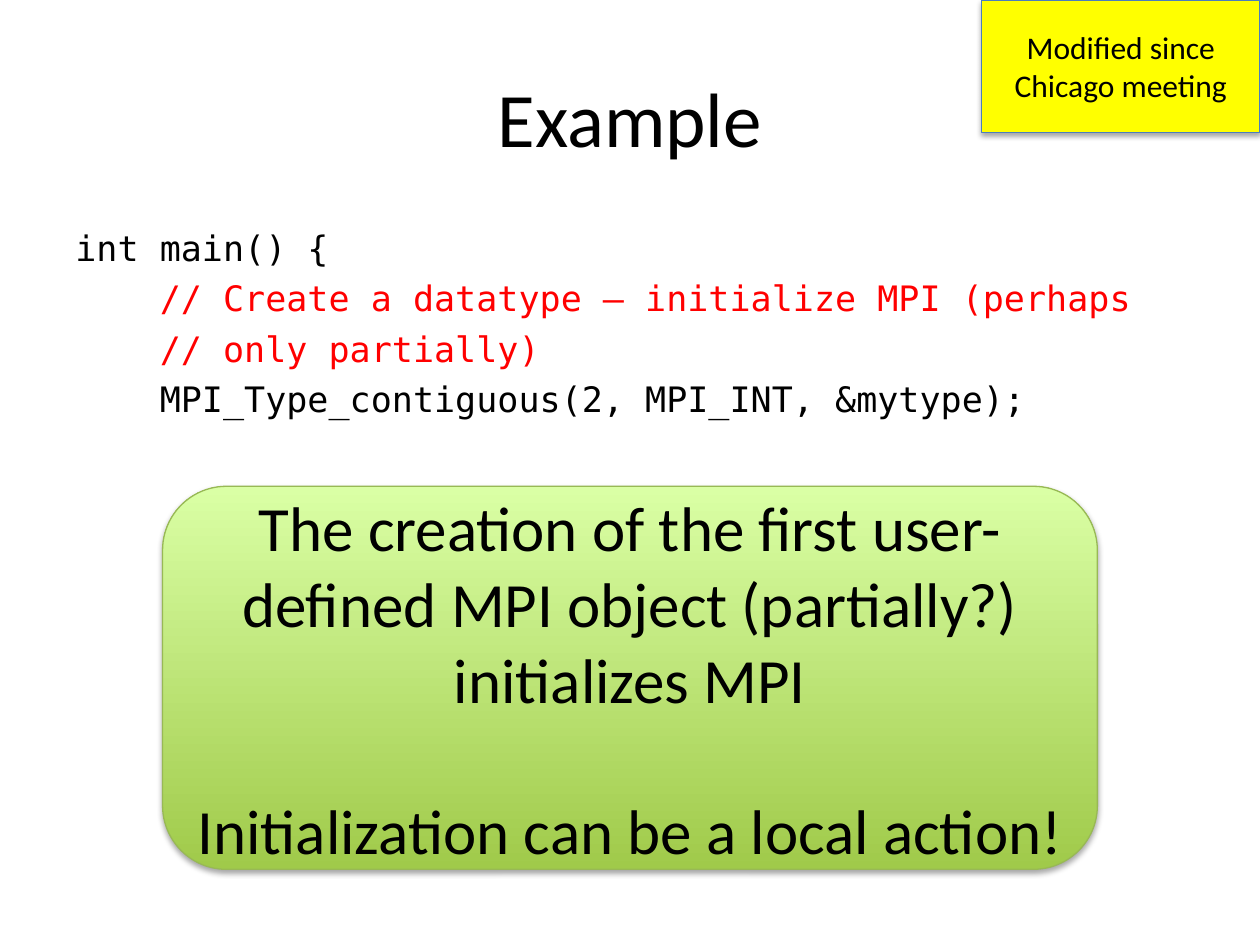
from lxml import etree
from pptx import Presentation
from pptx import util as u
from pptx.dml.color import RGBColor
from pptx.enum import shapes, text
from pptx.oxml.ns import qn

COLORS = {
    "ink": "000000", "comment": "FF0000", "note": "FFFF00", "note_edge": "4B7EBC",
    "green_dark": "A0CA4A", "green_light": "DAFFA5", "green_edge": "98B955",
}


class SlideBuilder:
    """Draws the elements of one slide in a shared style."""

    body_font = "Calibri"
    code_font = "DejaVu Sans Mono"

    def __init__(self, slide):
        self.slide = slide

    def color(self, name):
        return RGBColor.from_string(COLORS[name])

    def set_lines(self, frame, lines, size, font, align, gap=0, inks=()):
        frame.word_wrap = True
        frame.text = "\n".join(lines)
        for index, paragraph in enumerate(frame.paragraphs):
            paragraph.alignment = align
            if index and gap:
                paragraph.space_before = u.Pt(gap)
            for run in paragraph.runs:
                run.font.size = u.Pt(size)
                run.font.name = font
                run.font.color.rgb = self.color(inks[index] if inks else "ink")

    def title(self, box, words):
        frame = self.slide.shapes.add_textbox(*map(u.Pt, box)).text_frame
        frame.vertical_anchor = text.MSO_ANCHOR.MIDDLE
        self.set_lines(frame, [words], 44, self.body_font, text.PP_ALIGN.CENTER)

    def code(self, box, lines):
        frame = self.slide.shapes.add_textbox(*map(u.Pt, box)).text_frame
        inks = ["comment" if line.strip().startswith("//") else "ink" for line in lines]
        self.set_lines(frame, lines, 20, self.code_font, text.PP_ALIGN.LEFT, 4.7, inks)

    def panel(self, kind, box, lines, size, fills, edge, gap=0):
        panel = self.slide.shapes.add_shape(kind, *map(u.Pt, box))
        if len(fills) == 1:
            panel.fill.solid()
            panel.fill.fore_color.rgb = self.color(fills[0])
        else:
            panel.fill.gradient()
            panel.fill.gradient_angle = 90
            for position, (stop, name) in enumerate(zip(panel.fill.gradient_stops, fills)):
                stop.position = position
                stop.color.rgb = self.color(name)
        panel.line.color.rgb = self.color(edge)
        panel.line.width = u.Pt(0.75)
        self.drop_shadow(panel)
        panel.text_frame.vertical_anchor = text.MSO_ANCHOR.MIDDLE
        self.set_lines(panel.text_frame, lines, size, self.body_font, text.PP_ALIGN.CENTER, gap)

    def drop_shadow(self, panel):
        panel.shadow.inherit = False
        effects = panel.element.spPr.find(qn("a:effectLst"))
        shadow = etree.SubElement(
            effects, qn("a:outerShdw"), blurRad=str(u.Pt(3.1)), dist=str(u.Pt(1.8)),
            dir="5400000", rotWithShape="0")
        tone = etree.SubElement(shadow, qn("a:srgbClr"), val=COLORS["ink"])
        etree.SubElement(tone, qn("a:alpha"), val="35000")


def main():
    deck = Presentation()
    deck.slide_width, deck.slide_height = u.Pt(720), u.Pt(540)
    builder = SlideBuilder(deck.slides.add_slide(deck.slide_layouts[6]))
    builder.title((36, 21.6, 648, 90), "Example")
    builder.code((36, 126, 648, 356.4), [
        "int main() {",
        "    // Create a datatype – initialize MPI (perhaps",
        "    // only partially)",
        "    MPI_Type_contiguous(2, MPI_INT, &mytype);",
    ])
    builder.panel(
        shapes.MSO_SHAPE.ROUNDED_RECTANGLE, (92.9, 277.9, 534.2, 218.9),
        ["The creation of the first user-defined MPI object (partially?) initializes MPI",
         "Initialization can be a local action!"],
        36, ["green_dark", "green_light"], "green_edge", gap=43.2)
    builder.panel(
        shapes.MSO_SHAPE.RECTANGLE, (560.9, 0, 159.1, 75.6),
        ["Modified since Chicago meeting"], 18, ["note"], "note_edge")
    deck.save("out.pptx")


if __name__ == "__main__":
    main()
